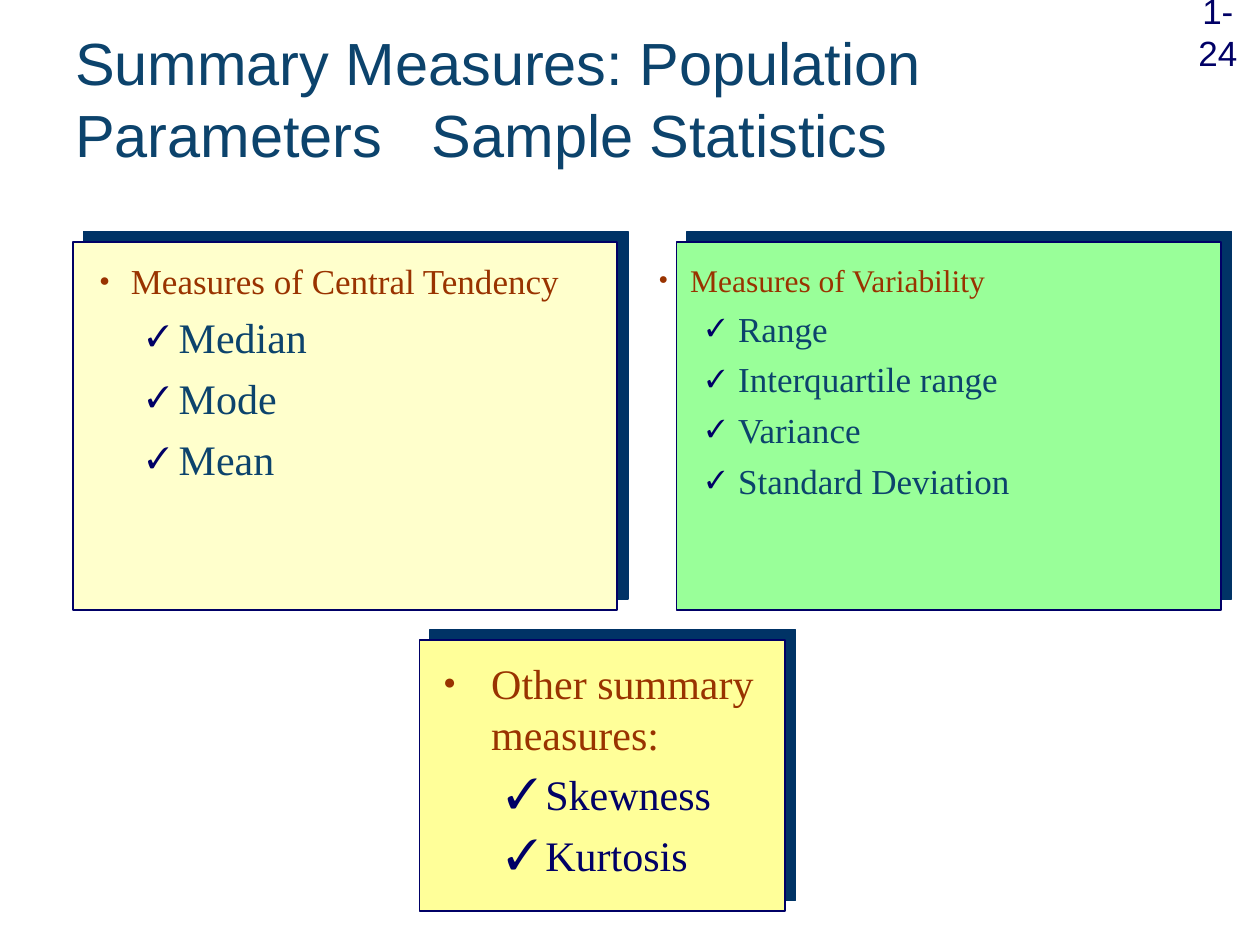
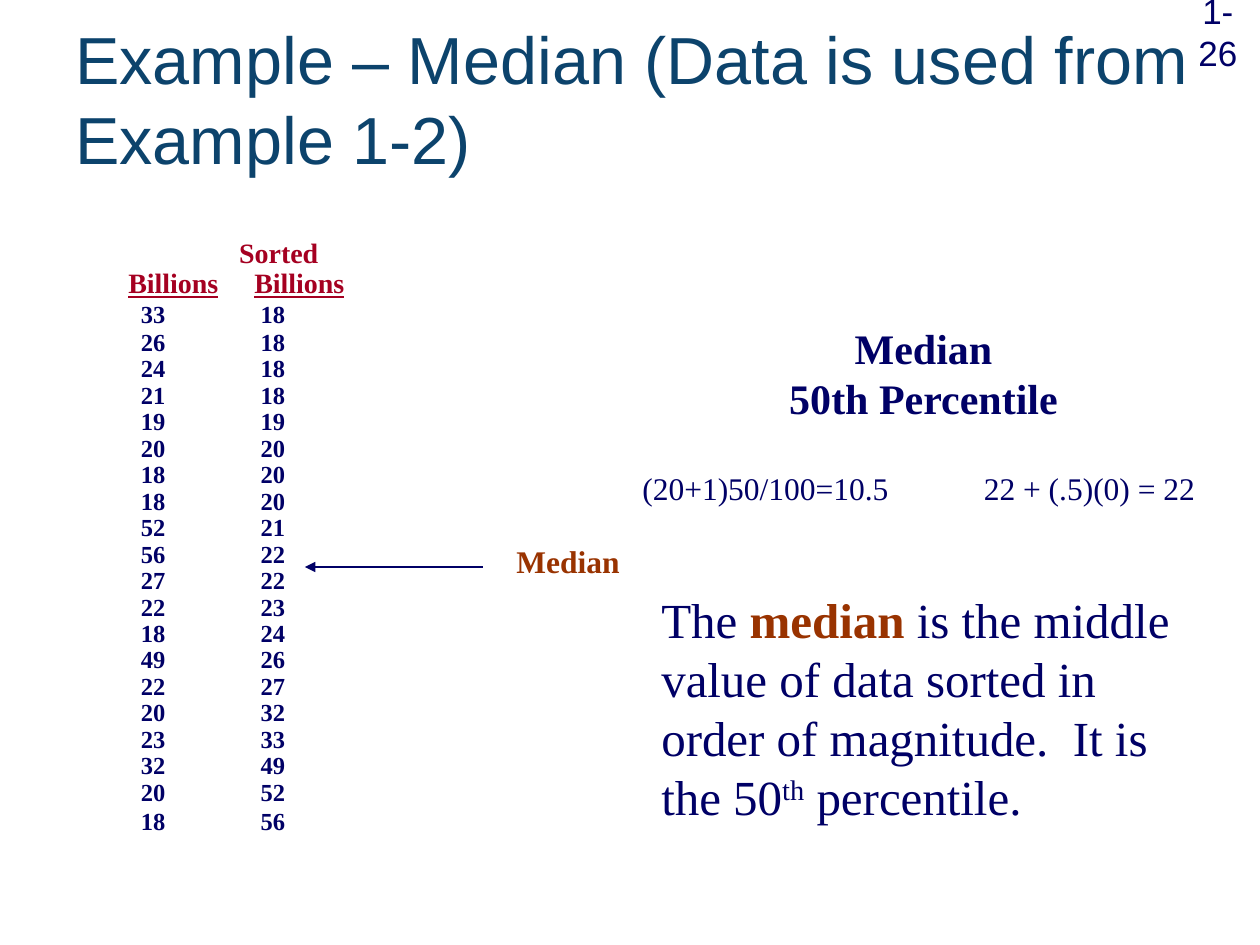
"""Build two slides on summary measures and the median."""

from lxml import etree
from pptx import Presentation
from pptx.dml.color import RGBColor
from pptx.enum.shapes import MSO_CONNECTOR, MSO_SHAPE
from pptx.enum.text import MSO_ANCHOR, MSO_AUTO_SIZE, PP_ALIGN
from pptx.oxml.ns import qn
from pptx.util import Inches, Pt

RECTANGLE = MSO_SHAPE.RECTANGLE
STRAIGHT = MSO_CONNECTOR.STRAIGHT
MIDDLE = MSO_ANCHOR.MIDDLE
GROW = MSO_AUTO_SIZE.SHAPE_TO_FIT_TEXT
LEFT, CENTER = PP_ALIGN.LEFT, PP_ALIGN.CENTER

SERIF, SANS = "Times New Roman", "Arial"
COLORS = {
    "title": "0C436C",
    "navy": "000066",
    "rust": "993300",
    "crimson": "A50021",
    "shadow": "003366",
    "white": "FFFFFF",
    "cream": "FFFFCC",
    "green": "99FF99",
    "yellow": "FFFF99",
}
BILLIONS = [33, 26, 24, 21, 19, 20, 18, 18, 52, 56, 27, 22, 18, 49, 22, 20, 23, 32, 20, 18]


def rgb(name):
    return RGBColor.from_string(COLORS[name])


def add_child(parent, tag, **attributes):
    child = etree.SubElement(parent, qn(tag))
    for key, value in attributes.items():
        child.set(key, str(value))
    return child


def add_run(paragraph, text, size, color="navy", font=SERIF, bold=False, underline=False):
    run = paragraph.add_run()
    run.text = text
    run.font.name = font
    run.font.size = Pt(size)
    run.font.bold = bold
    run.font.underline = underline
    run.font.color.rgb = rgb(color)
    return run


def add_text_box(slide, box, wrap=True, auto_size=GROW):
    text_box = slide.shapes.add_textbox(*map(Inches, box))
    text_box.text_frame.word_wrap = wrap
    text_box.text_frame.auto_size = auto_size
    return text_box


def next_paragraph(frame, index):
    return frame.add_paragraph() if index else frame.paragraphs[0]


def add_label(slide, box, lines, size, color="navy", bold=False, align=LEFT):
    label = add_text_box(slide, box, wrap=False)
    for index, line in enumerate(lines):
        paragraph = next_paragraph(label.text_frame, index)
        paragraph.alignment = align
        add_run(paragraph, line, size, color, bold=bold)
    return label


def set_tabs(paragraph, *stops):
    tab_list = add_child(paragraph._p.get_or_add_pPr(), "a:tabLst")
    for stop in stops:
        add_child(tab_list, "a:tab", pos=Inches(stop), algn="l")


def set_bullet(paragraph, character, color, percent, margin, hanging):
    properties = paragraph._p.get_or_add_pPr()
    properties.set("marL", str(Inches(margin)))
    properties.set("indent", str(-Inches(hanging)))
    bullet_color = add_child(properties, "a:buClr")
    add_child(bullet_color, "a:srgbClr", val=COLORS[color])
    add_child(properties, "a:buSzPct", val=percent * 1000)
    add_child(properties, "a:buFont", typeface=SERIF)
    add_child(properties, "a:buChar", char=character)


def add_slide(presentation, title, title_size, number, title_tab=None):
    slide = presentation.slides.add_slide(presentation.slide_layouts[6])
    frame = add_text_box(slide, (0.5, 0.15, 9.27, 1.25), auto_size=None).text_frame
    frame.vertical_anchor = MIDDLE
    add_run(frame.paragraphs[0], title, title_size, "title", SANS)
    if title_tab:
        set_tabs(frame.paragraphs[0], title_tab)
    number_box = add_text_box(slide, (9.29, -0.13, 0.75, 0.48))
    paragraph = number_box.text_frame.paragraphs[0]
    paragraph.alignment = CENTER
    paragraph.space_before = Pt(12.5)
    add_run(paragraph, number, 20, font=SANS)
    return slide


def add_panel(slide, box, color):
    panel = slide.shapes.add_shape(RECTANGLE, *map(Inches, box))
    panel.fill.solid()
    panel.fill.fore_color.rgb = rgb(color)
    panel.line.color.rgb = rgb("navy")
    panel.line.width = Pt(1)
    panel.shadow.inherit = False
    effects = panel._element.spPr.find(qn("a:effectLst"))
    shadow = add_child(effects, "a:outerShdw", blurRad=0, dist=Pt(8.5),
                       dir=315 * 60000, algn="ctr", rotWithShape=0)
    add_child(shadow, "a:srgbClr", val=COLORS["shadow"])


def add_measures(slide, box, heading, heading_size, items, item_size, item_color="title",
                 heading_indent=0.25, item_margin=0.63, item_hanging=0.25, check_percent=70):
    frame = add_text_box(slide, box, auto_size=None).text_frame
    paragraph = frame.paragraphs[0]
    paragraph.space_before = Pt(heading_size / 4)
    set_bullet(paragraph, "●", "rust", 50, heading_indent, heading_indent)
    add_run(paragraph, heading, heading_size, "rust")
    for item in items:
        paragraph = frame.add_paragraph()
        paragraph.level = 1
        paragraph.space_before = Pt(item_size / 4)
        set_bullet(paragraph, "✓", "navy", check_percent, item_margin, item_hanging)
        add_run(paragraph, item, item_size, item_color)


def fill_white(shape):
    shape.fill.solid()
    shape.fill.fore_color.rgb = rgb("white")


def add_data_columns(slide, box, values):
    columns = add_text_box(slide, box)
    fill_white(columns)
    frame = columns.text_frame
    heading = frame.paragraphs[0]
    add_run(heading, "\tSorted", 16, "crimson", bold=True)
    set_tabs(heading, 0.88)
    names = frame.add_paragraph()
    for text, underline in (("Billions", True), ("\t", False), ("Billions", True)):
        add_run(names, text, 16, "crimson", bold=True, underline=underline)
    set_tabs(names, 1)
    last = len(values) - 1
    for index, (value, ranked) in enumerate(zip(values, sorted(values))):
        paragraph = frame.add_paragraph()
        add_run(paragraph, "\t", 16 if index in (0, last) else 14, bold=True)
        add_run(paragraph, f"{value}\t{ranked}", 14, bold=True)
        set_tabs(paragraph, 0.1, 1.05)
    for paragraph in frame.paragraphs:
        paragraph.line_spacing = 0.9


def add_arrow(slide, tip, tail):
    arrow = slide.shapes.add_connector(STRAIGHT, *map(Inches, tip + tail))
    arrow.line.color.rgb = rgb("navy")
    arrow.line.width = Pt(0.75)
    properties = arrow._element.spPr
    add_child(properties.find(qn("a:ln")), "a:headEnd", type="triangle")
    add_child(properties, "a:effectLst")


def add_definition(slide, box):
    paragraph = add_text_box(slide, box).text_frame.paragraphs[0]
    add_run(paragraph, "The ", 28)
    add_run(paragraph, "median", 28, "rust", bold=True)
    add_run(paragraph, " is the middle value of data sorted in order of magnitude.  It is the 50", 28)
    ordinal = add_run(paragraph, "th", 28)
    ordinal.font._element.set("baseline", "30000")
    add_run(paragraph, " percentile.", 28)


def build_measures_slide(presentation):
    slide = add_slide(presentation, "Summary Measures: Population Parameters\tSample Statistics",
                      34, "1-24", title_tab=2.83)
    add_panel(slide, (3.33, 5.08, 2.9, 2.15), "yellow")
    for left, color in ((5.37, "green"), (0.58, "cream")):
        add_panel(slide, (left, 1.92, 4.32, 2.92), color)
    add_measures(slide, (5.13, 2.02, 4.5, 2.5), "Measures of Variability", 18,
                 ["Range", "Interquartile range", "Variance", "Standard Deviation"], 20)
    add_measures(slide, (0.69, 2.01, 4.08, 2.5), "Measures of Central Tendency", 20,
                 ["Median", "Mode", "Mean"], 24)
    add_measures(slide, (3.42, 5.17, 2.75, 1.92), "Other summary measures:", 24,
                 ["Skewness", "Kurtosis"], 24, "navy", heading_indent=0.38,
                 item_margin=0.81, item_hanging=0.31, check_percent=100)


def build_median_slide(presentation):
    slide = add_slide(presentation, "Example – Median (Data is used from Example 1-2)", 38, "1-26")
    add_label(slide, (4, 4.25, 1.02, 0.4), ["Median"], 18, "rust", bold=True)
    add_label(slide, (6.16, 2.51, 2.34, 0.9), ["Median", "50th Percentile"], 24,
              bold=True, align=CENTER)
    add_label(slide, (5, 3.67, 2.2, 0.4), ["(20+1)50/100=10.5"], 18)
    fill_white(add_label(slide, (7.71, 3.67, 1.9, 0.4), ["22 + (.5)(0) = 22"], 18))
    add_definition(slide, (5.15, 4.63, 4.51, 1.96))
    add_data_columns(slide, (0.92, 1.85, 2.25, 5.05), BILLIONS)
    add_arrow(slide, (2.42, 4.5), (3.83, 4.5))


def main():
    presentation = Presentation()
    presentation.slide_width = Inches(10)
    presentation.slide_height = Inches(7.5)
    build_measures_slide(presentation)
    build_median_slide(presentation)
    presentation.save("out.pptx")


if __name__ == "__main__":
    main()
